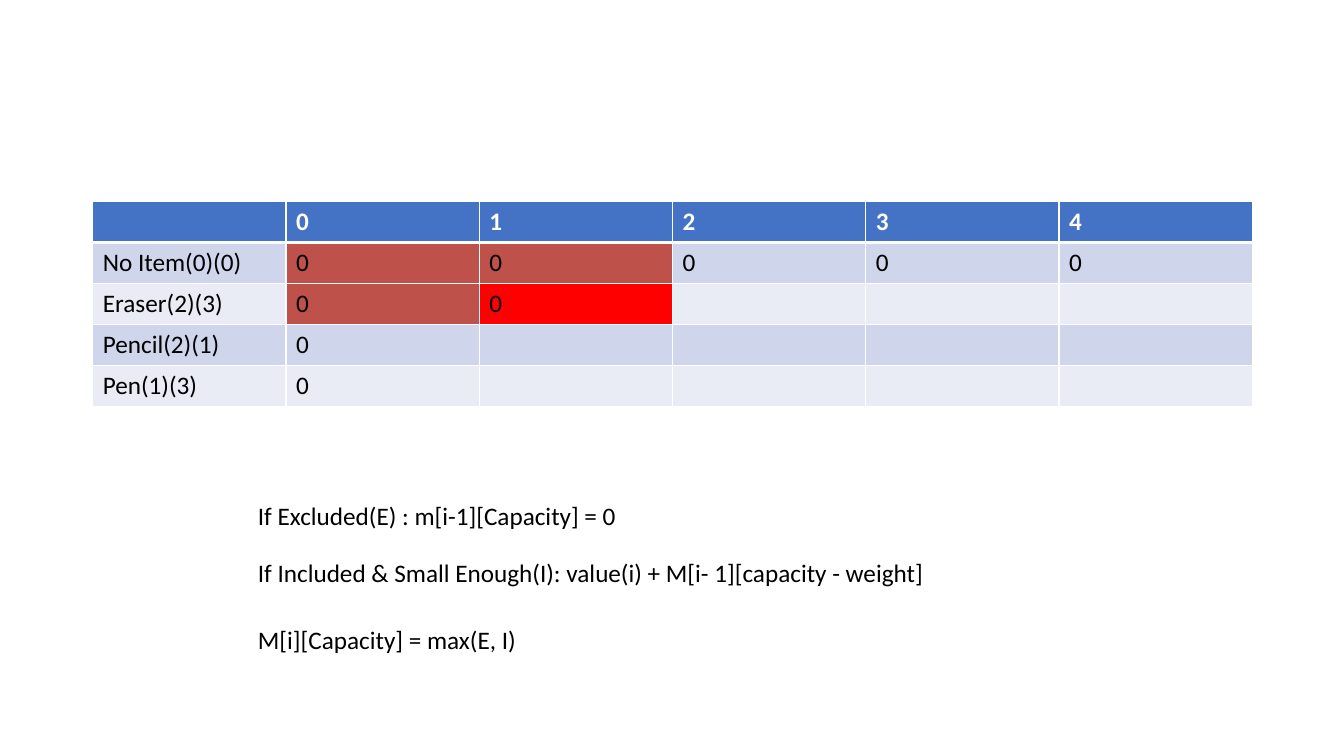
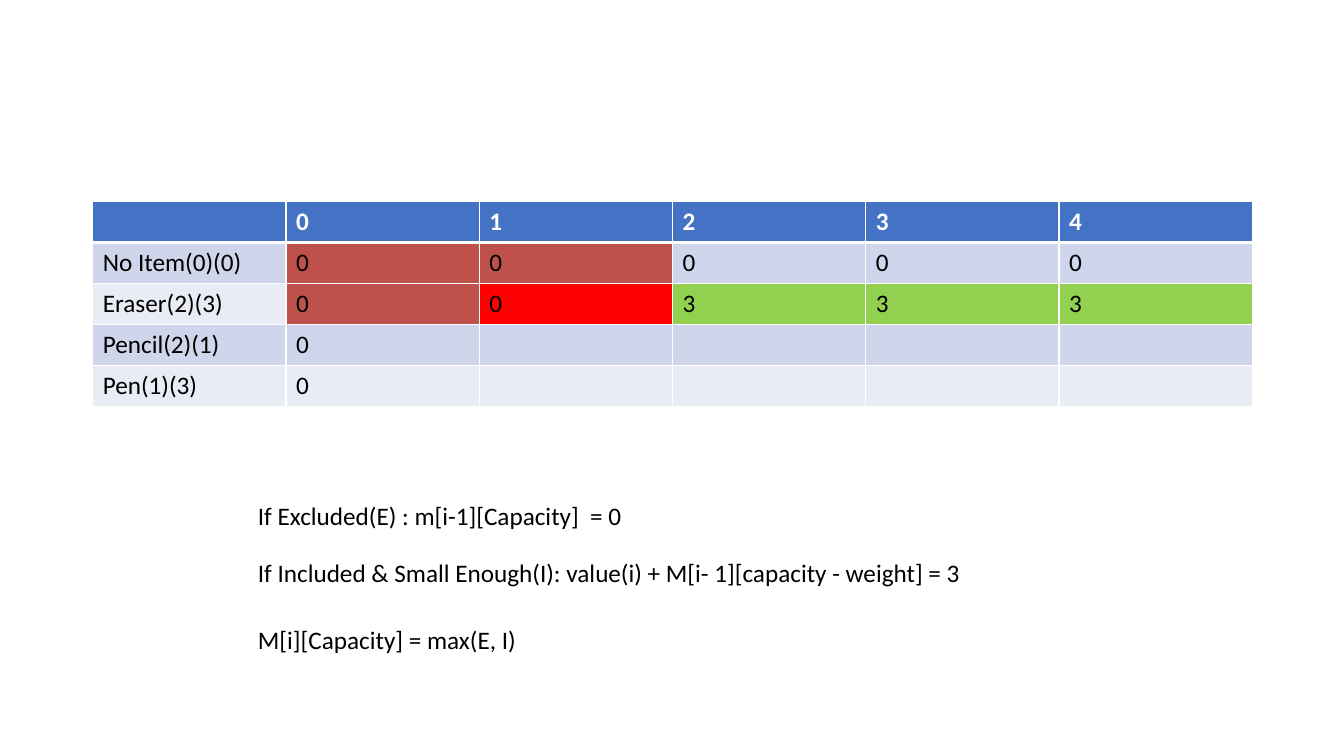
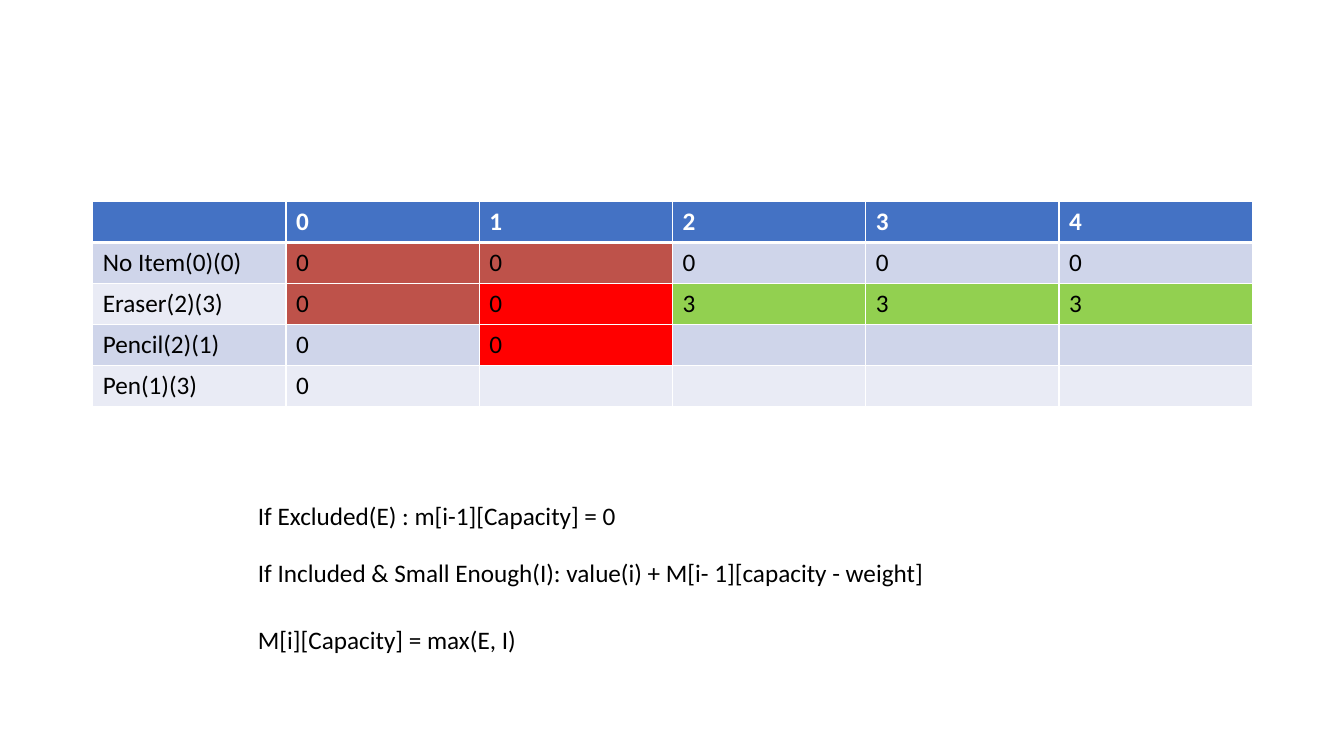
import pptx
import pptx.dml.color
import pptx.enum.text
import pptx.oxml
import pptx.oxml.ns
import pptx.util
from pptx.dml.color import RGBColor
from pptx.util import Inches

HEADER_BLUE = RGBColor(0x44, 0x72, 0xC4)
BAND_DARK = RGBColor(0xCF, 0xD5, 0xEA)
BAND_LIGHT = RGBColor(0xE9, 0xEB, 0xF5)
COMPARED = RGBColor(0xBE, 0x52, 0x4A)
EXCLUDED = RGBColor(0xFF, 0x00, 0x00)
INCLUDED = RGBColor(0x92, 0xD0, 0x50)
WHITE = RGBColor(0xFF, 0xFF, 0xFF)
BLACK = RGBColor(0x00, 0x00, 0x00)
FONT = "Calibri"
TEXT_SIZE = pptx.util.Pt(18)

CAPACITIES = range(5)
ITEMS = ["No Item(0)(0)", "Eraser(2)(3)", "Pencil(2)(1)", "Pen(1)(3)"]
EXCLUDE_RULE = "If Excluded(E) : m[i-1][Capacity]"
INCLUDE_RULE = "If Included & Small Enough(I): value(i) + M[i- 1][capacity - weight]"
MAX_RULE = "M[i][Capacity] = max(E, I)"

BASE_VALUES = {(0, capacity): 0 for capacity in CAPACITIES}
BASE_VALUES.update({(item, 0): 0 for item in range(len(ITEMS))})
FIRST_STEP = {(1, 1): (0, EXCLUDED)}
SECOND_STEP = FIRST_STEP | {(1, capacity): (3, INCLUDED) for capacity in (2, 3, 4)}
THIRD_STEP = SECOND_STEP | {(2, 1): (0, EXCLUDED)}
COMPARED_CELLS = {(0, 0), (0, 1), (1, 0)}

STEPS = [
    (FIRST_STEP, EXCLUDE_RULE + " = 0", INCLUDE_RULE),
    (SECOND_STEP, EXCLUDE_RULE + "  = 0", INCLUDE_RULE + " = 3"),
    (THIRD_STEP, EXCLUDE_RULE + " = 0", INCLUDE_RULE),
]


def style_text(text_frame, color, bold=False):
    for paragraph in text_frame.paragraphs:
        for run in paragraph.runs:
            run.font.name = FONT
            run.font.size = TEXT_SIZE
            run.font.bold = bold
            run.font.color.rgb = color


def set_borders(cell, widths):
    properties = cell._tc.get_or_add_tcPr()
    for side, points in widths.items():
        properties.append(pptx.oxml.parse_xml(
            f'<a:ln{side} {pptx.oxml.ns.nsdecls("a")} w="{pptx.util.Pt(points)}">'
            f'<a:solidFill><a:srgbClr val="{WHITE}"/></a:solidFill></a:ln{side}>'
        ))


def fill_cell(cell, text, fill, color=BLACK, bold=False, top=1, bottom=1):
    cell.text_frame.text = text
    style_text(cell.text_frame, color, bold)
    set_borders(cell, {"L": 1, "R": 1, "T": top, "B": bottom})
    cell.fill.solid()
    cell.fill.fore_color.rgb = fill


def add_knapsack_table(slide, solved):
    knapsack = slide.shapes.add_table(
        len(ITEMS) + 1, len(CAPACITIES) + 1,
        Inches(0.92), Inches(2), Inches(11.5), Inches(2.03),
    ).table
    for column, heading in enumerate(["", *CAPACITIES]):
        fill_cell(knapsack.cell(0, column), str(heading), HEADER_BLUE, WHITE, True, bottom=3)
    for item, label in enumerate(ITEMS):
        band = BAND_LIGHT if item % 2 else BAND_DARK
        top = 1 if item else 3
        fill_cell(knapsack.cell(item + 1, 0), label, band, top=top)
        for capacity in CAPACITIES:
            position = (item, capacity)
            base_fill = COMPARED if position in COMPARED_CELLS else band
            value, fill = solved.get(position, (BASE_VALUES.get(position, ""), base_fill))
            fill_cell(knapsack.cell(item + 1, capacity + 1), str(value), fill, top=top)


def add_rule(slide, text, top, width):
    rule = slide.shapes.add_textbox(Inches(2.46), Inches(top), Inches(width), Inches(0.4))
    rule.text_frame.word_wrap = True
    rule.text_frame.auto_size = pptx.enum.text.MSO_AUTO_SIZE.SHAPE_TO_FIT_TEXT
    rule.text_frame.text = text
    style_text(rule.text_frame, BLACK)


def main():
    deck = pptx.Presentation()
    deck.slide_width = Inches(13.33)
    deck.slide_height = Inches(7.5)
    for solved, exclude_rule, include_rule in STEPS:
        slide = deck.slides.add_slide(deck.slide_layouts[6])
        add_knapsack_table(slide, solved)
        add_rule(slide, exclude_rule, 4.91, 7.58)
        add_rule(slide, include_rule, 5.48, 7.74)
        add_rule(slide, MAX_RULE, 6.14, 6.78)
    deck.save("out.pptx")


if __name__ == "__main__":
    main()
